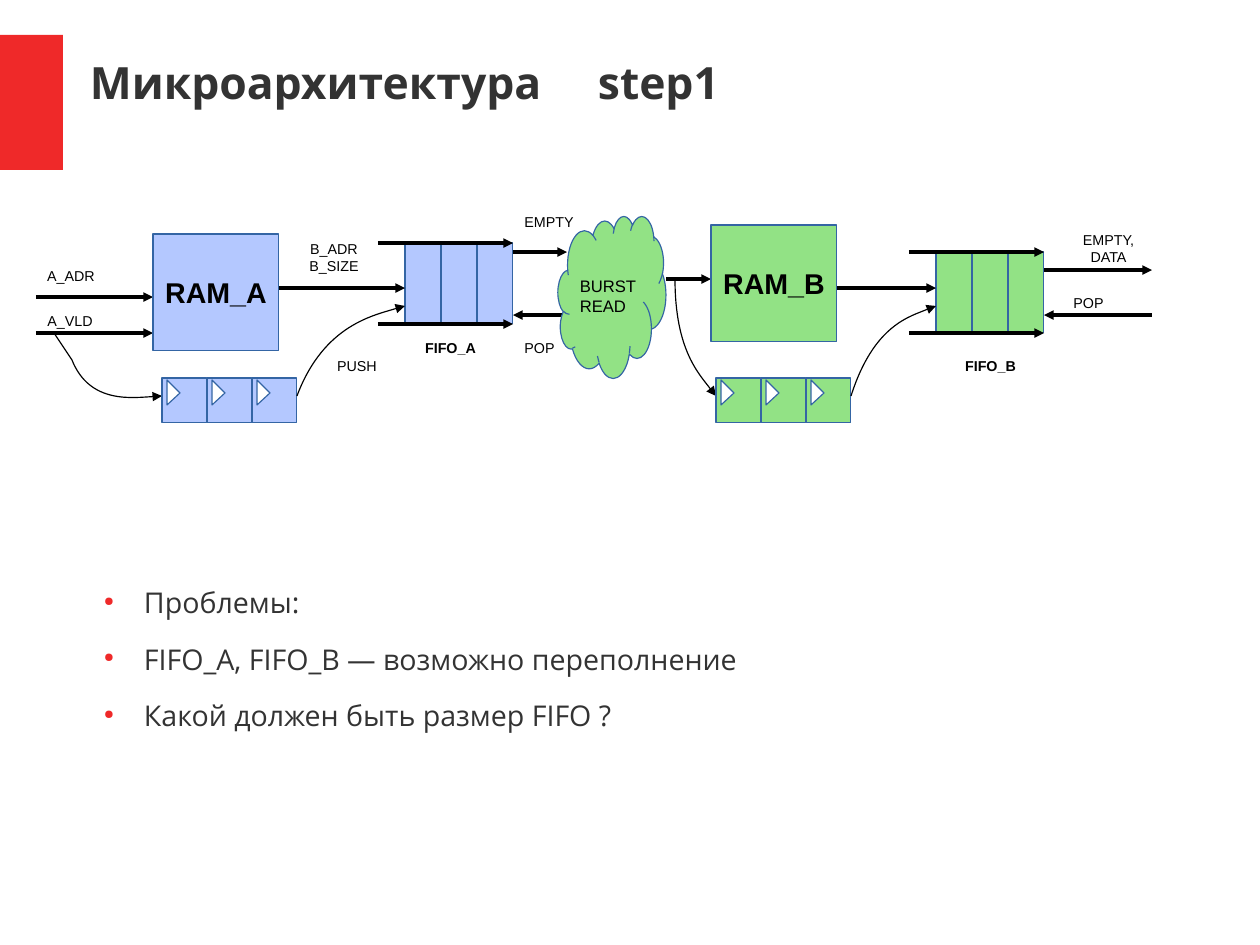
from dataclasses import dataclass
from lxml.etree import SubElement
from pptx import Presentation
from pptx.dml.color import RGBColor
from pptx.enum.shapes import MSO_CONNECTOR as Conn, MSO_SHAPE as Kind
from pptx.enum.text import MSO_ANCHOR as Anchor, PP_ALIGN as Align
from pptx.oxml.ns import qn
from pptx.util import Pt


@dataclass(frozen=True)
class Theme:
    red: str = "EF2929"
    ink: str = "333333"
    black: str = "000000"
    white: str = "FFFFFF"
    blue: str = "B4C8FF"
    green: str = "92E285"
    edge: str = "3465A4"
    head: str = "Open Sans"
    body: str = "Arial"
    title: float = 28
    large: float = 18
    mid: float = 10.5
    small: float = 9


look = Theme()
SCALE = 8000


def px(*vals):
    return [round(v * SCALE) for v in vals]


def tone(name):
    return RGBColor.from_string(name)


def add(node, tag, **attrs):
    return SubElement(node, qn(tag), attrs)


def write(frame, text, size=look.small, font=look.body, ink=look.black,
          bold=False, align=Align.CENTER, anchor=Anchor.TOP,
          inset=(11, 6), wrap=True, after=0):
    frame.word_wrap = wrap
    frame.vertical_anchor = anchor
    across, down = px(*inset)
    frame.margin_left = frame.margin_right = across
    frame.margin_top = frame.margin_bottom = down
    for i, line in enumerate(text.split("\n")):
        para = frame.add_paragraph() if i else frame.paragraphs[0]
        para.alignment = align
        para.space_after = Pt(after)
        run = para.add_run()
        run.text = line
        run.font.size = Pt(size)
        run.font.name = font
        run.font.bold = bold
        run.font.color.rgb = tone(ink)
    return frame


def label(slide, box, text, **fmt):
    return write(slide.shapes.add_textbox(*px(*box)).text_frame, text, **fmt)


def paint(shape, fill, edge=look.edge):
    shape.shadow.inherit = False
    if fill:
        shape.fill.solid()
        shape.fill.fore_color.rgb = tone(fill)
    else:
        shape.fill.background()
    if edge:
        shape.line.color.rgb = tone(edge)
        shape.line.width = 0
    else:
        shape.line.fill.background()
    return shape


def block(slide, box, fill, edge=look.edge, kind=Kind.RECTANGLE):
    return paint(slide.shapes.add_shape(kind, *px(*box)), fill, edge)


def tip(shape):
    add(shape.line._get_or_add_ln(), "a:tailEnd", type="triangle")


def arrow(slide, x, y, end):
    line = slide.shapes.add_connector(Conn.STRAIGHT, *px(x, y, end, y))
    line.line.color.rgb = tone(look.black)
    line.line.width = 0
    tip(line)
    add(line._element.spPr, "a:effectLst")


def outline(slide, points, fill=None, edge=look.edge, close=False):
    first, *rest = points
    pen = slide.shapes.build_freeform(*first, scale=SCALE)
    pen.add_line_segments(rest, close=close)
    return paint(pen.convert_to_shape(), fill, edge)


def curve(slide, *points):
    shape = outline(slide, points, edge=look.black)
    track = next(shape._element.iter(qn("a:path")))
    bend = add(track, "a:cubicBezTo")
    for step in track.findall(qn("a:lnTo"))[-3:]:
        bend.append(step[0])
        track.remove(step)
    tip(shape)


def header(slide, box):
    x, y, w, h = box
    block(slide, (x, y, 63, h), look.red, None)
    frame = label(slide, (x + 90, y + 3, w - 154, 88),
                  "Микроархитектура\tstep1", size=look.title, font=look.head,
                  ink=look.ink, bold=True, align=Align.LEFT,
                  anchor=Anchor.MIDDLE, inset=(0, 0))
    stops = add(frame.paragraphs[0]._p.get_or_add_pPr(), "a:tabLst")
    add(stops, "a:tab", pos=str(px(508)[0]), algn="l")


def ram(slide, box, fill, name):
    write(block(slide, box, fill).text_frame, name, size=look.large,
          bold=True, anchor=Anchor.MIDDLE, wrap=False)


def regs(slide, box, fill, count=3):
    x, y, w, h = box
    side = w / count
    for i in range(count):
        left = x + i * side
        block(slide, (left, y, side, h), fill)
        mark = [(left + 5, y + 2), (left + 18, y + 15), (left + 5, y + 27)]
        outline(slide, mark, look.white, close=True)


def fifo(slide, box, fill, count=3):
    x, y, w, h = box
    side = w / count
    for i in range(count):
        block(slide, (x + i * side, y, side, h), fill)
    for level in (y, y + h):
        arrow(slide, x - 27, level, x + w)


def burst(slide, box):
    x, y, w, h = box
    block(slide, box, look.green, kind=Kind.CLOUD)
    label(slide, (x + 11, y + 54, 79, 48), "BURST\nREAD",
          size=look.mid, align=Align.LEFT)


def stage(slide, box, fill, name, rows, start, drop):
    x, y, w, h = box
    ram(slide, (x, y, 126, 117), fill, "RAM_" + name)
    regs(slide, (start, 378, 135, 45), fill)
    fifo(slide, (x + w - 108, rows, 108, 81), fill)
    arrow(slide, x + 126, 288, x + w - 108)
    curve(slide, (start + 135, 396), (start + drop, 324),
          (x + w - 108, 306), (x + w - 108, 306))


def flow(slide, box):
    x, y, w, h = box
    right = x + w
    for level in (297, 333):
        arrow(slide, x, level, x + 117)
    curve(slide, (x + 18, 333), (x + 36, 360), (x + 54, 405),
          (x + 126, 396), (x + 126, 396))
    stage(slide, (x + 117, 234, 360, 189), look.blue, "A", 243, x + 126, 162)
    arrow(slide, 576, 315, 513)
    arrow(slide, 513, 252, 567)
    arrow(slide, 666, 279, 711)
    curve(slide, (675, 279), (675, 351), (716, 396), (716, 396))
    burst(slide, (558, y, 108, 162))
    stage(slide, (711, 225, 333, 198), look.green, "B", 252, 716, 158)
    arrow(slide, 1044, 270, right)
    arrow(slide, right, 315, 1044)
    for left, top, wide, text in (
            (x, 261, 70, "A_ADR"), (x, 306, 68, "A_VLD"),
            (298, 234, 72, "B_ADR\nB_SIZE"), (326, 351, 62, "PUSH"),
            (513, 207, 72, "EMPTY"), (513, 333, 53, "POP"),
            (1048, 225, 121, "EMPTY,\nDATA"), (1062, 288, 53, "POP"),
            (414, 333, 73, "FIFO_A"), (954, 351, 73, "FIFO_B")):
        label(slide, (left, top, wide, 27), text,
              bold=text.startswith("FIFO"))


def issues(slide, box):
    frame = label(slide, box, "Проблемы:\n"
                  "FIFO_A, FIFO_B — возможно переполнение\n"
                  "Какой должен быть размер FIFO ?",
                  size=look.large, font=look.head, ink=look.ink,
                  align=Align.LEFT, inset=(0, 0), after=14.1)
    for para in frame.paragraphs:
        props = para._p.get_or_add_pPr()
        props.set("marL", str(px(54)[0]))
        props.set("indent", str(px(-40)[0]))
        add(add(props, "a:buClr"), "a:srgbClr", val=look.red)
        add(props, "a:buSzPct", val="45000")
        add(props, "a:buChar", char="●")


deck = Presentation()
deck.slide_width, deck.slide_height = px(1260, 945)
page = deck.slides.add_slide(deck.slide_layouts[6])
header(page, (0, 35, 1260, 135))
flow(page, (36, 216, 1116, 207))
issues(page, (90, 585, 1080, 125))
deck.save("out.pptx")
